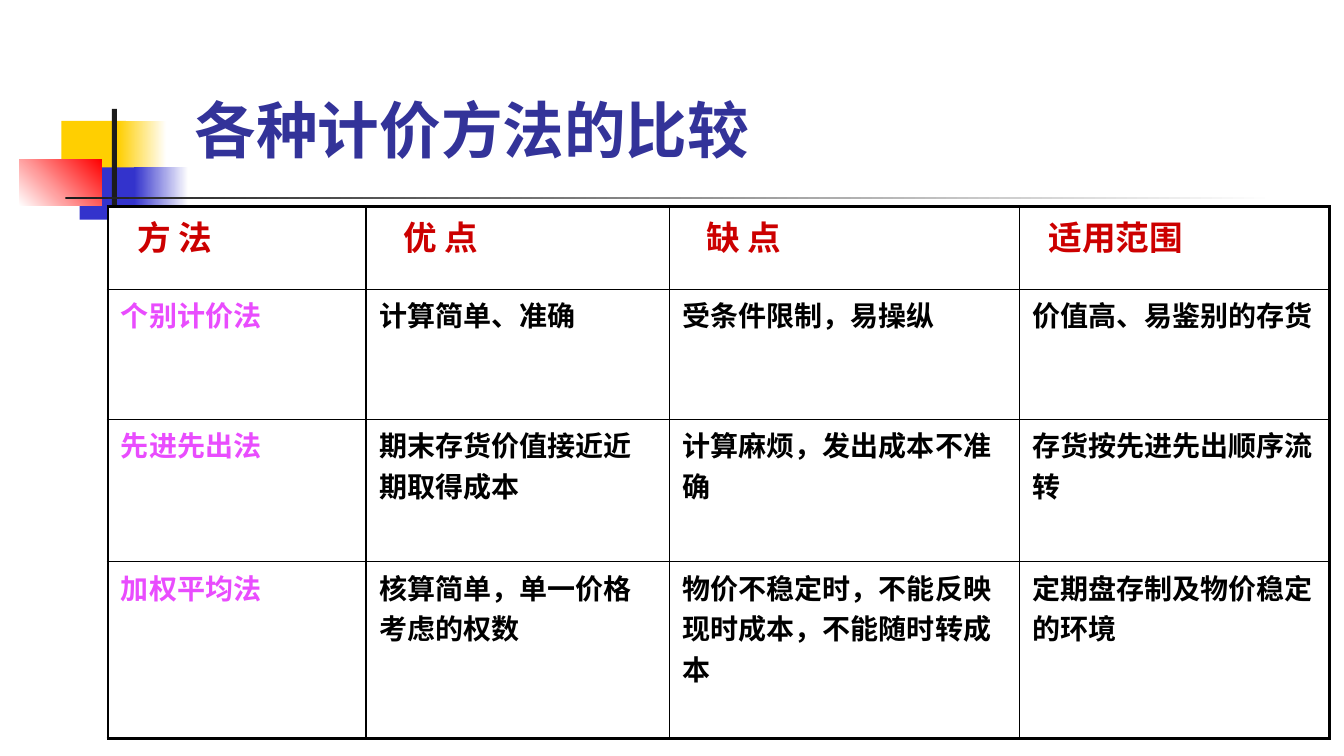
from lxml import etree
from pptx import Presentation
from pptx.dml.color import RGBColor
from pptx.enum import shapes, text
from pptx.oxml import ns
from pptx.util import Inches, Pt

SLIDE = (13.33, 7.5)
TITLE = "各种计价方法的比较"
TITLE_BOX = (1.83, 0.86, 6.36, 0.84)
ROWS = [
    ["方 法", "优 点", "缺 点", "适用范围"],
    ["个别计价法", "计算简单、准确", "受条件限制，易操纵", "价值高、易鉴别的存货"],
    ["先进先出法", "期末存货价值接近近期取得成本", "计算麻烦，发出成本不准确", "存货按先进先出顺序流转"],
    ["加权平均法", "核算简单，单一价格考虑的权数",
     "物价不稳定时，不能反映现时成本，不能随时转成本", "定期盘存制及物价稳定的环境"],
]
TABLE_AT = (1.07, 2.05)
COLUMN_WIDTHS = [2.56, 3.01, 3.47, 3.08]
ROW_HEIGHTS = [0.82, 1.29, 1.41, 1.76]
HEADER_INDENTS = [0.16, 0.24, 0.24, 0.16]
CELL_MARGIN = 0.13
THIN, THICK = 1, 2.25
# Left, top, width, height, colours (two make a gradient), gradient angle
ORNAMENTS = [
    ((0.61, 1.2, 0.64, 0.52), ["FFCF01"], 0),
    ((1.17, 1.2, 0.48, 0.52), ["FFCF01", "FFFFFF"], 0),
    ((0.79, 1.66, 0.62, 0.52), ["3333CC"], 0),
    ((1.33, 1.66, 0.54, 0.52), ["3333CC", "FFFFFF"], 0),
    ((0.19, 1.58, 0.82, 0.46), ["FFFFFF", "FF0000"], 45),
    ((1.11, 1.08, 0.05, 1.15), ["1C1C1C"], 0),
    ((0.65, 1.95, 12, 0.03), ["1C1C1C", "FFFFFF"], 0),
]


def color(value):
    return RGBColor.from_string(value)


def inches(values):
    return [Inches(value) for value in values]


def write(frame, words, size, shade, latin):
    para = frame.paragraphs[0]
    para.alignment = text.PP_ALIGN.LEFT
    para.space_before = Pt(0)
    span = para.add_run()
    span.text = words
    for name, value in {"size": Pt(size), "bold": True, "name": latin}.items():
        setattr(span.font, name, value)
    span.font.color.rgb = color(shade)
    east_asian = etree.SubElement(span.font._element, ns.qn("a:ea"))
    east_asian.set("typeface", "Noto Sans CJK SC")


def add_ornament(page, place, colors, angle):
    block = page.shapes.add_shape(shapes.MSO_SHAPE.RECTANGLE, *inches(place))
    block.shadow.inherit = False
    block.line.fill.background()
    if len(colors) == 1:
        block.fill.solid()
        block.fill.fore_color.rgb = color(colors[0])
        return
    block.fill.gradient()
    block.fill.gradient_angle = angle
    for stop, shade in zip(block.fill.gradient_stops, colors):
        stop.color.rgb = color(shade)


def add_borders(cell, widths):
    properties = cell._tc.get_or_add_tcPr()
    for position, (side, width) in enumerate(widths.items()):
        line = etree.Element(ns.qn(f"a:ln{side}"), w=str(Pt(width)))
        fill = etree.SubElement(line, ns.qn("a:solidFill"))
        etree.SubElement(fill, ns.qn("a:srgbClr"), val="000000")
        properties.insert(position, line)


def add_comparison(page):
    size = (sum(COLUMN_WIDTHS), sum(ROW_HEIGHTS))
    last_row, last_column = len(ROWS) - 1, len(COLUMN_WIDTHS) - 1
    table = page.shapes.add_table(
        len(ROWS), len(COLUMN_WIDTHS), *inches(TABLE_AT + size)).table
    for column, width in zip(table.columns, COLUMN_WIDTHS):
        column.width = Inches(width)
    for row, height in zip(table.rows, ROW_HEIGHTS):
        row.height = Inches(height)
    for r, words in enumerate(ROWS):
        for c, phrase in enumerate(words):
            cell = table.cell(r, c)
            indent = HEADER_INDENTS[c] if r == 0 else 0
            layout = {"margin_left": CELL_MARGIN + indent, "margin_right": CELL_MARGIN,
                      "margin_top": 0.05, "margin_bottom": 0.05}
            for name, value in layout.items():
                setattr(cell, name, Inches(value))
            cell.fill.solid()
            cell.fill.fore_color.rgb = color("FFFFFF")
            shade = "CC0000" if r == 0 else "E94CFE" if c == 0 else "000000"
            write(cell.text_frame, phrase, 24 if r == 0 else 20, shade, "Noto Sans CJK SC")
            outer = {"L": c == 0, "R": c == last_column, "T": r == 0, "B": r == last_row}
            add_borders(cell, {side: THICK if edge else THIN for side, edge in outer.items()})


def main():
    deck = Presentation()
    deck.slide_width, deck.slide_height = inches(SLIDE)
    page = deck.slides.add_slide(deck.slide_layouts[5])

    # Corner ornament and rule
    for ornament in ORNAMENTS:
        add_ornament(page, *ornament)

    # Title
    title = page.shapes.title
    for name, value in zip(("left", "top", "width", "height"), inches(TITLE_BOX)):
        setattr(title, name, value)
    frame = title.text_frame
    frame.word_wrap = True
    frame.auto_size = text.MSO_AUTO_SIZE.NONE
    frame.vertical_anchor = text.MSO_ANCHOR.MIDDLE
    write(frame, TITLE, 44, "333399", "Lato")

    # Comparison table
    add_comparison(page)
    deck.save("out.pptx")


if __name__ == "__main__":
    main()
